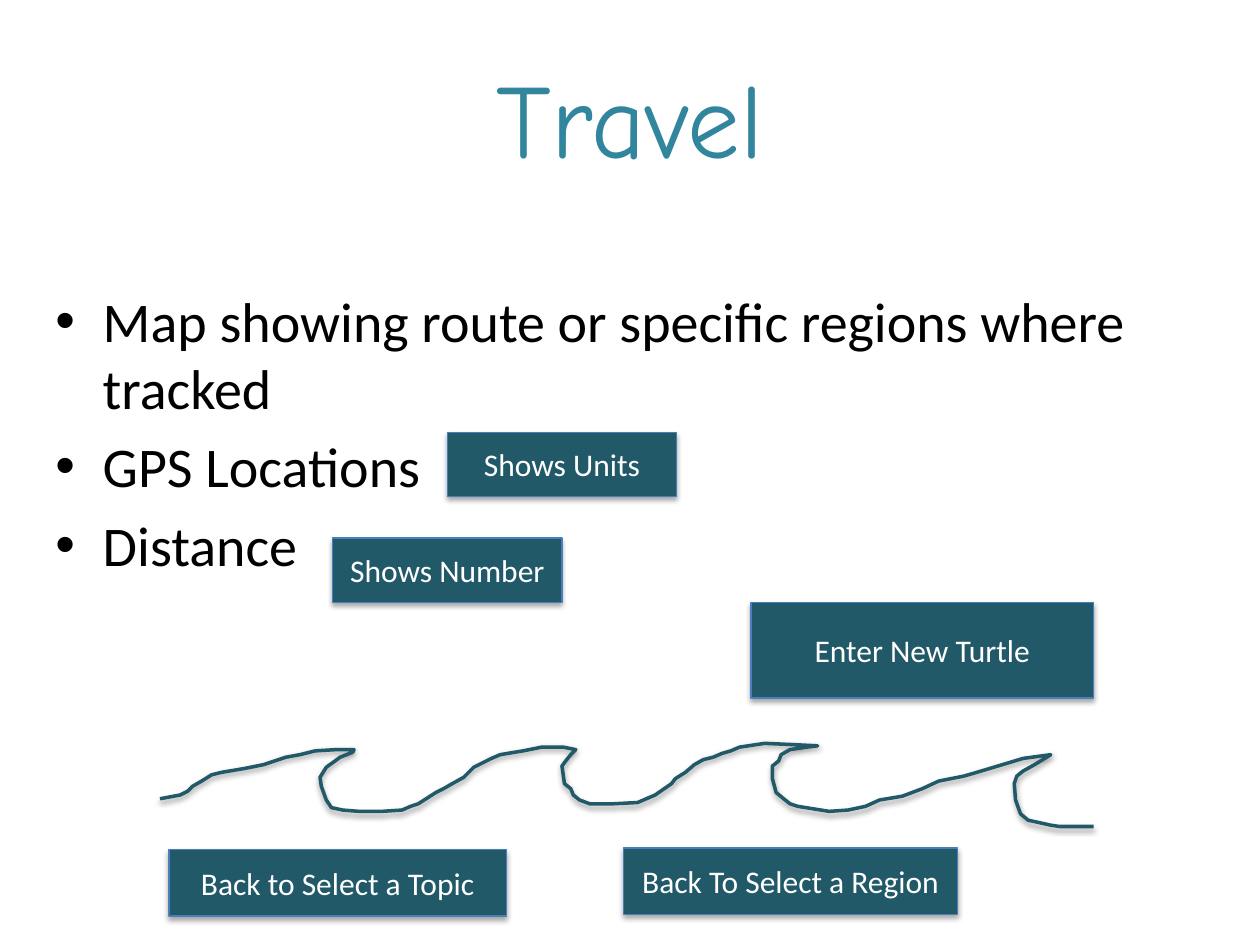
from lxml import etree
from pptx import Presentation
from pptx.dml.color import RGBColor
from pptx.enum import shapes, text
from pptx.oxml import ns
from pptx.util import Inches, Pt

TITLE_TEAL = RGBColor(0x31, 0x85, 0x9C)
DEEP_TEAL = RGBColor(0x21, 0x59, 0x68)
EDGE_BLUE = RGBColor(0x4B, 0x7E, 0xBC)
BLACK = RGBColor(0, 0, 0)
WHITE = RGBColor(255, 255, 255)

BULLETS = [
    "Map showing route or specific regions where tracked",
    "GPS Locations",
    "Distance",
]
BUTTONS = [
    ("Shows Number", (2.64, 4.27, 1.82, 0.51)),
    ("Shows Units", (3.55, 3.43, 1.82, 0.51)),
    ("Back to Select a Topic", (1.34, 6.74, 2.68, 0.53)),
    ("Back To Select a Region", (4.95, 6.73, 2.65, 0.53)),
    ("Enter New Turtle", (5.96, 4.78, 2.72, 0.76)),
]
WAVE_BOX = (1.27, 5.9, 7.41, 0.66)
WAVE_POINTS = [
    (0, 0.44), (0.16, 0.41), (0.22, 0.38), (0.26, 0.34), (0.33, 0.3),
    (0.41, 0.25), (0.49, 0.23), (0.67, 0.2), (0.82, 0.17), (1, 0.11),
    (1.11, 0.09), (1.23, 0.06), (1.4, 0.05), (1.54, 0.05), (1.53, 0.07),
    (1.43, 0.11), (1.32, 0.19), (1.27, 0.27), (1.28, 0.34), (1.32, 0.45),
    (1.36, 0.51), (1.45, 0.53), (1.58, 0.54), (1.76, 0.54), (1.92, 0.53),
    (1.99, 0.5), (2.05, 0.48), (2.19, 0.39), (2.25, 0.36), (2.32, 0.32),
    (2.41, 0.27), (2.49, 0.19), (2.63, 0.12), (2.7, 0.09), (2.88, 0.06),
    (3.03, 0.03), (3.2, 0.03), (3.3, 0.05), (3.26, 0.09), (3.22, 0.14),
    (3.19, 0.18), (3.21, 0.32), (3.26, 0.36), (3.28, 0.41), (3.33, 0.45),
    (3.41, 0.48), (3.6, 0.48), (3.79, 0.47), (3.93, 0.41), (4.06, 0.32),
    (4.09, 0.28), (4.17, 0.23), (4.24, 0.17), (4.31, 0.13), (4.39, 0.11),
    (4.46, 0.08), (4.53, 0.06), (4.6, 0.03), (4.8, 0), (5.02, 0.01),
    (5.22, 0.02), (5.13, 0.03), (5, 0.05), (4.93, 0.09), (4.91, 0.14),
    (4.86, 0.18), (4.86, 0.28), (4.89, 0.39), (4.95, 0.44), (5, 0.48),
    (5.06, 0.5), (5.31, 0.54), (5.46, 0.53), (5.6, 0.5), (5.71, 0.45),
    (5.89, 0.42), (6.05, 0.36), (6.18, 0.3), (6.38, 0.26), (6.45, 0.24),
    (6.65, 0.18), (6.85, 0.12), (7.07, 0.09), (6.94, 0.17), (6.85, 0.22),
    (6.8, 0.26), (6.78, 0.32), (6.79, 0.45), (6.83, 0.56), (6.89, 0.61),
    (6.98, 0.63), (7.07, 0.65), (7.14, 0.66), (7.41, 0.66),
]


def add_text(paragraph, content, size, color, font="Calibri", align=None):
    """Write one formatted run in a paragraph."""
    run = paragraph.add_run()
    run.text = content
    run.font.size = Pt(size)
    run.font.name = font
    run.font.color.rgb = color
    paragraph.alignment = align


def place(shape, box):
    """Move a shape to a box given in inches."""
    shape.left, shape.top, shape.width, shape.height = map(Inches, box)


def cast_shadow(shape, distance, opacity):
    """Give a shape a soft black shadow straight below it."""
    shape.shadow.inherit = False
    effects = shape.element.spPr.find(ns.qn("a:effectLst"))
    shadow = etree.SubElement(
        effects, ns.qn("a:outerShdw"), blurRad=str(Pt(3.1)),
        dist=str(Pt(distance)), dir="5400000", rotWithShape="0")
    color = etree.SubElement(shadow, ns.qn("a:srgbClr"), val="000000")
    etree.SubElement(color, ns.qn("a:alpha"), val=str(opacity * 1000))


def add_title(slide, box):
    """Fill the title placeholder."""
    title = slide.shapes.title
    place(title, box)
    add_text(title.text_frame.paragraphs[0], "Travel", 60, TITLE_TEAL,
             font="Comic Neue", align=text.PP_ALIGN.CENTER)


def add_bullets(slide, box):
    """Fill the body placeholder with the bullet list."""
    body = slide.placeholders[1]
    place(body, box)
    frame = body.text_frame
    for index, content in enumerate(BULLETS):
        paragraph = frame.add_paragraph() if index else frame.paragraphs[0]
        add_text(paragraph, content, 32, BLACK)


def add_wave(slide, box):
    """Draw the open wave line from the top left of its box."""
    left, top = box[:2]
    points = [(Inches(left + x), Inches(top + y)) for x, y in WAVE_POINTS]
    builder = slide.shapes.build_freeform(*points[0])
    builder.add_line_segments(points[1:], close=False)
    wave = builder.convert_to_shape()
    wave.fill.background()
    wave.line.color.rgb = DEEP_TEAL
    wave.line.width = Pt(2)
    cast_shadow(wave, 1.6, 38)


def add_button(slide, label, box):
    """Draw one labelled button."""
    button = slide.shapes.add_shape(
        shapes.MSO_SHAPE.RECTANGLE, *map(Inches, box))
    button.fill.solid()
    button.fill.fore_color.rgb = DEEP_TEAL
    button.line.color.rgb = EDGE_BLUE
    button.line.width = Pt(0.75)
    cast_shadow(button, 1.8, 35)
    frame = button.text_frame
    frame.word_wrap = True
    frame.vertical_anchor = text.MSO_ANCHOR.MIDDLE
    add_text(frame.paragraphs[0], label, 18, WHITE,
             align=text.PP_ALIGN.CENTER)


def main():
    """Build and save the travel slide."""
    presentation = Presentation()
    presentation.slide_width = Inches(10)
    presentation.slide_height = Inches(7.5)
    slide = presentation.slides.add_slide(presentation.slide_layouts[1])
    add_title(slide, (0.5, 0.3, 9, 1.25))
    add_bullets(slide, (0.34, 2.22, 9, 4.95))
    add_wave(slide, WAVE_BOX)
    for label, box in BUTTONS:
        add_button(slide, label, box)
    presentation.save("out.pptx")


if __name__ == "__main__":
    main()
